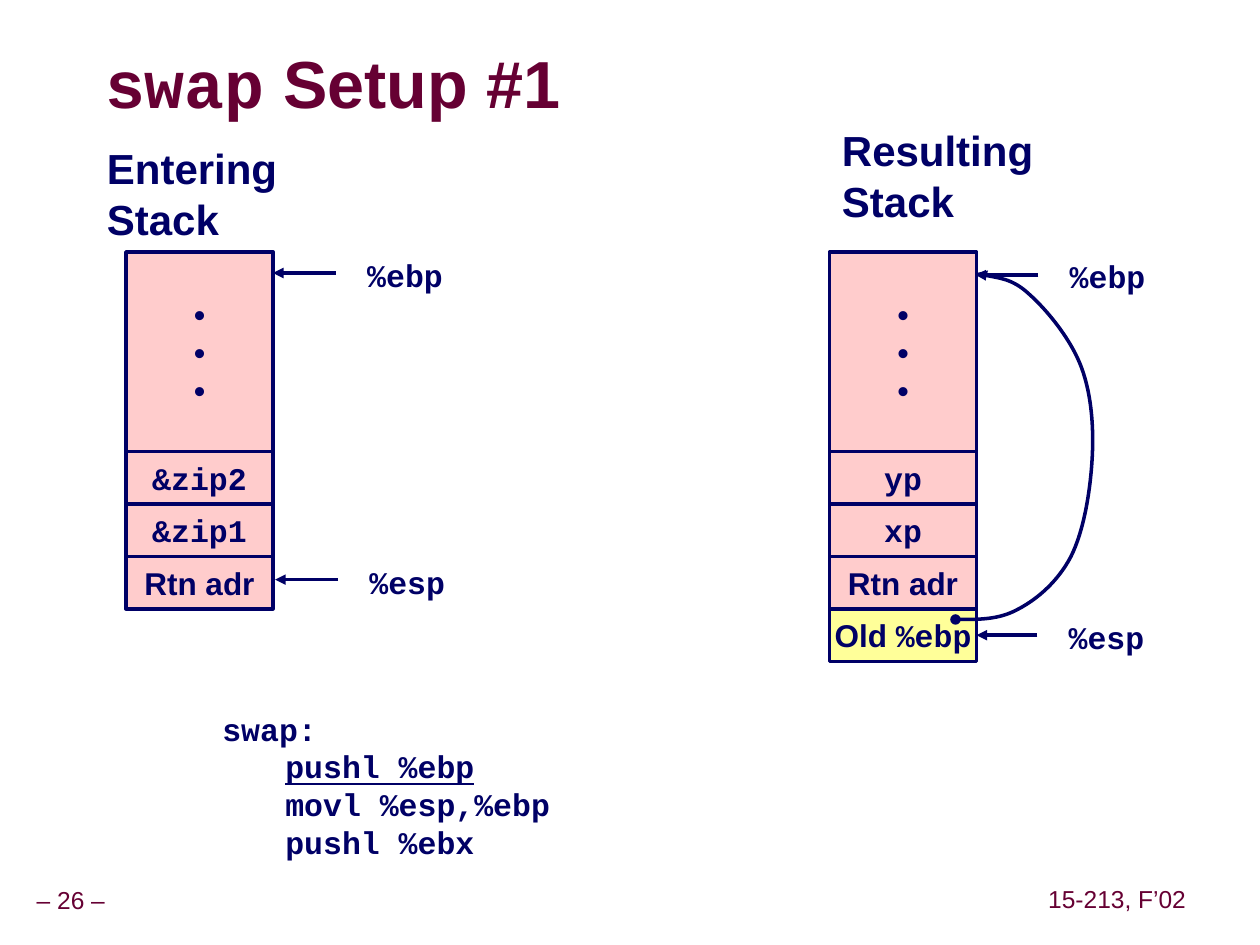
"""Build the slide on the stack before and after the setup code of swap."""
from dataclasses import dataclass

from lxml import etree
from pptx import Presentation, util as u
from pptx.dml.color import RGBColor
from pptx.enum import shapes, text
from pptx.oxml.ns import qn


@dataclass(frozen=True)
class Theme:
    ink: str = "000066"
    accent: str = "660033"
    shadow: str = "969696"
    pink: str = "FFCCCC"
    yellow: str = "FFFF99"
    sans: str = "Arial"
    mono: str = "Courier New"
    title: int = 38
    heading: int = 24
    body: int = 18
    footer: int = 14
    line: int = 2


def px(n):
    return u.Emu(n * 7620)


class Board:
    def __init__(self, s, theme):
        self.s = s
        self.t = theme

    def fill_text(self, tf, lines, size, color, bold=True, align=None, spacing=None):
        tf.text = "\n".join("" for _ in lines)
        for p, spans in zip(tf.paragraphs, lines):
            p.alignment = align
            p.line_spacing = spacing or u.Pt(1.2 * size)
            for words, font in spans:
                r = p.add_run()
                r.text = words
                r.font.name = font
                r.font.size = u.Pt(size)
                r.font.bold = bold
                r.font.color.rgb = RGBColor.from_string(color)

    def text(self, box, lines, size, color=None, wrap=False, inset=(12, 6),
             anchor=text.MSO_ANCHOR.TOP, **style):
        sp = self.s.shapes.add_textbox(*map(px, box))
        tf = sp.text_frame
        tf.word_wrap = wrap
        tf.vertical_anchor = anchor
        tf.margin_left = tf.margin_right = px(inset[0])
        tf.margin_top = tf.margin_bottom = px(inset[1])
        self.fill_text(tf, lines, size, color or self.t.ink, **style)
        return tf

    def title(self, box, spans):
        tf = self.text(box, [spans], self.t.title, self.t.accent, wrap=True,
                       inset=(0, 0), anchor=text.MSO_ANCHOR.MIDDLE, spacing=1.0)
        for r in tf.paragraphs[0].runs:
            fill = r.font._element.find(qn("a:solidFill"))
            effects = etree.Element(qn("a:effectLst"))
            shadow = etree.SubElement(effects, qn("a:outerShdw"),
                                      dist="35921", dir="2700000")
            etree.SubElement(shadow, qn("a:srgbClr"), val=self.t.shadow)
            fill.addnext(effects)

    def footer(self, box, words):
        self.text(box, [[(words, self.t.sans)]], self.t.footer, self.t.accent,
                  inset=(6, 6), anchor=text.MSO_ANCHOR.MIDDLE, bold=False,
                  align=text.PP_ALIGN.CENTER, spacing=0.9)

    def heading(self, box, *words):
        self.text(box, [[(w, self.t.sans)] for w in words], self.t.heading, wrap=True)

    def register(self, x, y, name):
        self.text((x, y, 96, 48), [[(name, self.t.mono)]], self.t.body)

    def code(self, box, lines, tab, underlined):
        tf = self.text(box, [[(w, self.t.mono) for w in spans] for spans in lines],
                       self.t.body, wrap=True)
        for p in tf.paragraphs:
            tabs = etree.SubElement(p._p.get_or_add_pPr(), qn("a:tabLst"))
            etree.SubElement(tabs, qn("a:tab"), pos=str(px(tab)), algn="l")
            for r in p.runs:
                r.font.underline = r.text == underlined

    def cell(self, box, lines, fill):
        sp = self.s.shapes.add_shape(shapes.MSO_SHAPE.RECTANGLE, *map(px, box))
        sp.shadow.inherit = False
        sp.fill.solid()
        sp.fill.fore_color.rgb = RGBColor.from_string(fill)
        self.stroke(sp)
        tf = sp.text_frame
        tf.word_wrap = False
        tf.vertical_anchor = text.MSO_ANCHOR.MIDDLE
        self.fill_text(tf, lines, self.t.body, self.t.ink, align=text.PP_ALIGN.CENTER)
        return sp

    def stack(self, x, rows):
        """Draw the tall dotted cell and the rows below it; return the last cell."""
        top, tall, width, height = 240, 190, 140, 50
        self.cell((x, top, width, tall), [[("•", self.t.sans)]] * 3, self.t.pink)
        for i, (spans, fill) in enumerate(rows):
            last = self.cell((x, top + tall + i * height, width, height), [spans], fill)
        return last

    def stroke(self, sp, **ends):
        sp.line.color.rgb = RGBColor.from_string(self.t.ink)
        sp.line.width = u.Pt(self.t.line)
        ln = sp.line._get_or_add_ln()
        for end, kind in ends.items():
            etree.SubElement(ln, qn(f"a:{end}"), type=kind)

    def arrow(self, x, y, target=None):
        sp = self.s.shapes.add_connector(shapes.MSO_CONNECTOR.STRAIGHT,
                                         px(x), px(y), px(x - 60), px(y))
        if target is not None:
            sp.end_connect(target, 3)
        self.stroke(sp, tailEnd="triangle")
        etree.SubElement(sp._element.spPr, qn("a:effectLst"))

    def curve(self, points):
        """Draw a Bézier path: a start, then two handles and an end per piece."""
        fb = self.s.shapes.build_freeform(*points[0], scale=px(1))
        fb.add_line_segments(points[1:], close=False)
        sp = fb.convert_to_shape()
        sp.shadow.inherit = False
        sp.fill.background()
        self.stroke(sp, headEnd="oval", tailEnd="triangle")
        steps = list(sp._element.iter(qn("a:lnTo")))
        for i in range(0, len(steps), 3):
            bezier = etree.Element(qn("a:cubicBezTo"))
            steps[i].addprevious(bezier)
            for step in steps[i:i + 3]:
                bezier.append(step[0])
                step.getparent().remove(step)


def main():
    prs = Presentation()
    prs.slide_width, prs.slide_height = px(1200), px(900)
    t = Theme()
    b = Board(prs.slides.add_slide(prs.slide_layouts[6]), t)

    b.footer((-11, 840, 157, 37), "– 26 –")
    b.footer((992, 839, 144, 37), "15-213, F’02")
    b.title((100, 40, 714, 76), [("swap", t.mono), (" Setup #1", t.sans)])
    b.code((200, 670, 660, 163),
           [["swap:"], ["\t", "pushl %ebp"], ["\tmovl %esp,%ebp"], ["\tpushl %ebx"]],
           tab=60, underlined="pushl %ebp")

    return_row = ([("Rtn adr", t.sans)], t.pink)
    b.heading((90, 130, 186, 108), "Entering", "Stack")
    b.stack(120, [([("&zip2", t.mono)], t.pink), ([("&zip1", t.mono)], t.pink),
                  return_row])
    b.arrow(320, 260)
    b.register(338, 238, "%ebp")
    b.arrow(322, 552)
    b.register(340, 530, "%esp")

    b.heading((790, 113, 268, 108), "Resulting", "Stack")
    saved = b.stack(790, [([("yp", t.mono)], t.pink), ([("xp", t.mono)], t.pink),
                          return_row,
                          ([("Old ", t.sans), ("%ebp", t.mono)], t.yellow)])
    b.arrow(989, 262)
    b.register(1007, 239, "%ebp")
    b.curve([(910, 590),
             (931, 590), (952, 590), (970, 580),
             (989, 570), (1008, 553), (1020, 530),
             (1032, 506), (1038, 470), (1040, 440),
             (1042, 410), (1040, 377), (1030, 350),
             (1020, 323), (997, 295), (980, 280),
             (964, 265), (938, 263), (930, 260)])
    b.arrow(988, 605, target=saved)
    b.register(1006, 583, "%esp")

    prs.save("out.pptx")


if __name__ == "__main__":
    main()
